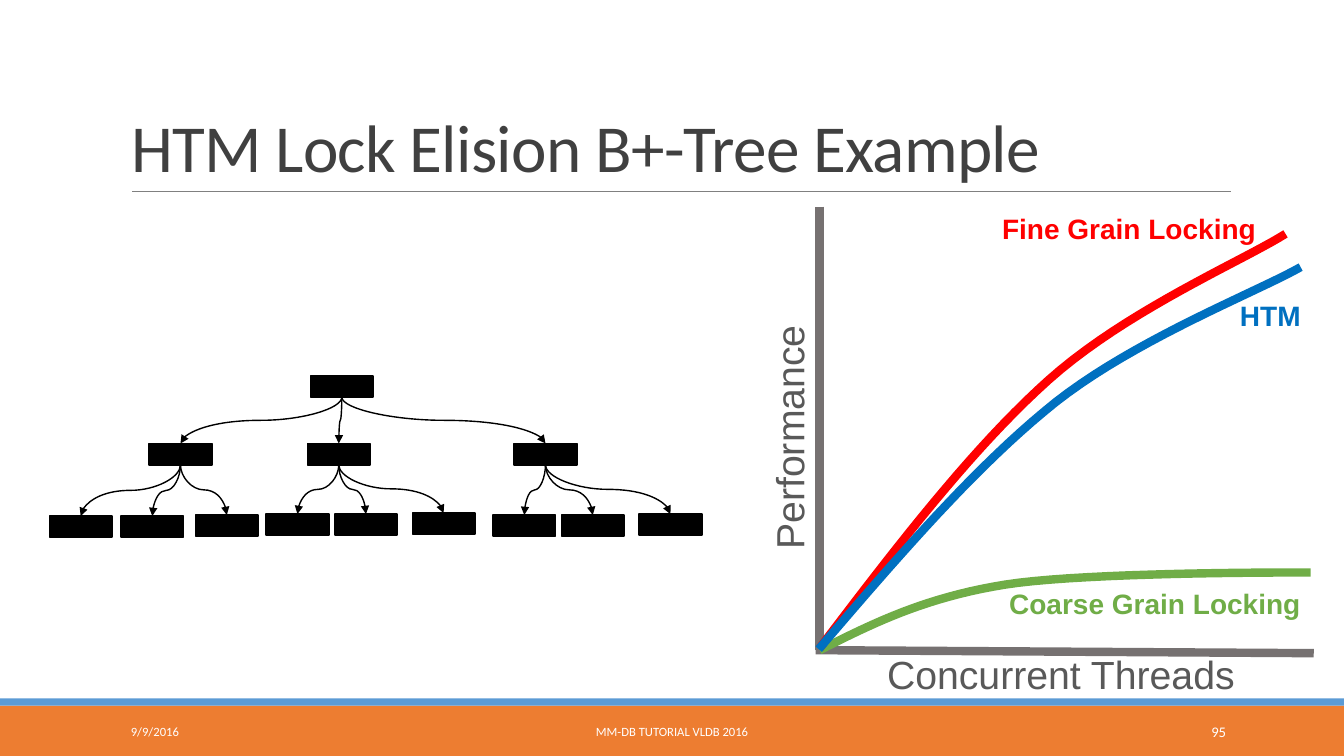
from lxml import etree
from pptx import Presentation
from pptx.dml.color import RGBColor
from pptx.enum.shapes import MSO_CONNECTOR, MSO_SHAPE
from pptx.enum.text import MSO_ANCHOR, MSO_AUTO_SIZE, PP_ALIGN
from pptx.oxml.ns import qn
from pptx.util import Inches, Pt

STRAIGHT, CURVED = MSO_CONNECTOR.STRAIGHT, MSO_CONNECTOR.CURVE
RECTANGLE = MSO_SHAPE.RECTANGLE
LEFT, CENTER, RIGHT = PP_ALIGN.LEFT, PP_ALIGN.CENTER, PP_ALIGN.RIGHT
TOP, MIDDLE, BOTTOM = MSO_ANCHOR.TOP, MSO_ANCHOR.MIDDLE, MSO_ANCHOR.BOTTOM
BOTTOM_SITE, TOP_SITE = 2, 0

TITLE = "HTM Lock Elision B+-Tree Example"
BANDS = [("ED7D31", 7, 0.5), ("5B9BD5", 6.93, 0.07)]
FOOTER = [
    ("9/9/2016", 1.2, 2.7, 9, LEFT),
    ("MM-DB TUTORIAL VLDB 2016", 4.03, 5.27, 9, CENTER),
    ("95", 10.83, 1.43, 10.5, RIGHT),
]
RULE = ((1.31, 1.9), (12.21, 1.9))
AXES = [((8.13, 2.05), (8.13, 6.45)), ((13.03, 6.48), (8.09, 6.45))]
AXIS_LABELS = [
    ("Concurrent Threads", (8.7, 6.4, 3.7, 0.57), 0),
    ("Performance", (6.6, 4.04, 2.45, 0.57), 270),
]
SERIES = [
    ("Coarse Grain Locking", "70AD47", (9.91, 5.77, 3.12, 0.44),
     [(8.13, 6.45), (8.65, 6.19), (9.16, 5.93), (9.97, 5.8),
      (10.79, 5.67), (13, 5.68), (13, 5.68)]),
    ("Fine Grain Locking", "FF0000", (9.84, 2.05, 2.74, 0.44),
     [(8.13, 6.43), (8.88, 5.44), (9.64, 4.45), (10.4, 3.77),
      (11.17, 3.08), (12.34, 2.58), (12.75, 2.32)]),
    ("HTM", "0070C0", (12.2, 2.91, 0.81, 0.44),
     [(8.12, 6.44), (8.9, 5.53), (9.68, 4.62), (10.47, 3.99),
      (11.27, 3.36), (12.48, 2.89), (12.9, 2.65)]),
]
NODE_WIDTH, NODE_HEIGHT = 0.62, 0.21
ROOT = (3.08, 3.73)
BRANCHES = [
    ((1.48, 4.4), [(0.49, 5.12), (1.2, 5.12), (1.94, 5.11)]),
    ((3.05, 4.4), [(2.64, 5.1), (3.32, 5.1), (4.09, 5.09)]),
    ((5.1, 4.4), [(4.89, 5.11), (5.57, 5.11), (6.34, 5.1)]),
]
CURVE_STEPS = 20

deck = Presentation()
deck.slide_width, deck.slide_height = Inches(13.33), Inches(7.5)
slide = deck.slides.add_slide(deck.slide_layouts[5])
shapes = slide.shapes


def color(value):
    return RGBColor.from_string(value)


def inches(values):
    return [Inches(value) for value in values]


def stroke(shape, value, width):
    shape.line.color.rgb = color(value)
    shape.line.width = Pt(width)


def write(shape, text, size, value, font="Arial", align=LEFT, anchor=TOP,
          bold=False, wrap=False):
    frame = shape.text_frame
    frame.word_wrap = wrap
    frame.auto_size = MSO_AUTO_SIZE.NONE
    frame.vertical_anchor = anchor
    paragraph = frame.paragraphs[0]
    paragraph.alignment = align
    run = paragraph.add_run()
    run.text = text
    run.font.size, run.font.name, run.font.bold = Pt(size), font, bold
    run.font.color.rgb = color(value)
    return paragraph, run


def add_box(box, fill):
    shape = shapes.add_shape(RECTANGLE, *inches(box))
    shape.shadow.inherit = False
    shape.fill.solid()
    shape.fill.fore_color.rgb = color(fill)
    shape.line.fill.background()
    return shape


def add_line(kind, start, end, value, width):
    line = shapes.add_connector(kind, *inches(start + end))
    stroke(line, value, width)
    etree.SubElement(line._element.spPr, qn("a:effectLst"))
    return line


def add_node(corner):
    node = add_box(corner + (NODE_WIDTH, NODE_HEIGHT), "000000")
    stroke(node, "000000", 1.25)
    return node


def add_pointer(parent, child):
    pointer = add_line(CURVED, (0, 0), (0, 0), "000000", 1)
    pointer.begin_connect(parent, BOTTOM_SITE)
    pointer.end_connect(child, TOP_SITE)
    x1, y1 = parent.left + parent.width // 2, parent.top + parent.height
    x2, y2 = child.left + child.width // 2, child.top
    drop, reach = y2 - y1, abs(x2 - x1)
    pointer.left, pointer.top = (x1 + x2 - drop) // 2, (y1 + y2 - reach) // 2
    pointer.width, pointer.height = drop, reach
    rightward = x2 > x1
    xfrm = pointer._element.spPr.find(qn("a:xfrm"))
    xfrm.set("rot", str((270 if rightward else 90) * 60000))
    xfrm.set("flipH", "1" if rightward else "0")
    xfrm.set("flipV", "0")
    outline = pointer._element.spPr.find(qn("a:ln"))
    etree.SubElement(outline, qn("a:tailEnd"), type="triangle")


def bezier(points, t):
    weights = ((1 - t) ** 3, 3 * t * (1 - t) ** 2, 3 * t * t * (1 - t), t ** 3)
    return tuple(sum(w * p[axis] for w, p in zip(weights, points))
                 for axis in (0, 1))


def add_curve(points, value):
    path = [inches(bezier(points[first:first + 4], step / CURVE_STEPS))
            for first in (0, 3) for step in range(1, CURVE_STEPS + 1)]
    builder = shapes.build_freeform(*inches(points[0]))
    builder.add_line_segments(path, close=False)
    curve = builder.convert_to_shape()
    curve.shadow.inherit = False
    curve.fill.background()
    stroke(curve, value, 6)


for fill, top, height in BANDS:
    add_box((0, top, 13.33, height), fill)
add_line(STRAIGHT, *RULE, "808080", 0.5)

title = shapes.title
title.left, title.top, title.width, title.height = inches((1.2, 0.31, 11, 1.59))
heading, heading_run = write(title, TITLE, 48, "404040", "Calibri",
                             anchor=BOTTOM, wrap=True)
heading.line_spacing = 0.85
heading_run.font._element.set("spc", "-50")

for text, left, width, size, align in FOOTER:
    footer = shapes.add_textbox(*inches((left, 7.06, width, 0.4)))
    write(footer, text, size, "FFFFFF", "Calibri", align, MIDDLE, wrap=True)

for start, end in AXES:
    add_line(STRAIGHT, start, end, "767171", 6)
for text, box, angle in AXIS_LABELS:
    axis_label = shapes.add_textbox(*inches(box))
    axis_label.rotation = angle
    write(axis_label, text, 28, "595959")

for name, value, box, points in SERIES:
    add_curve(points, value)
    write(shapes.add_textbox(*inches(box)), name, 20, value, bold=True)

root = add_node(ROOT)
for corner, leaves in BRANCHES:
    branch = add_node(corner)
    add_pointer(root, branch)
    for leaf in leaves:
        add_pointer(branch, add_node(leaf))

deck.save("out.pptx")
